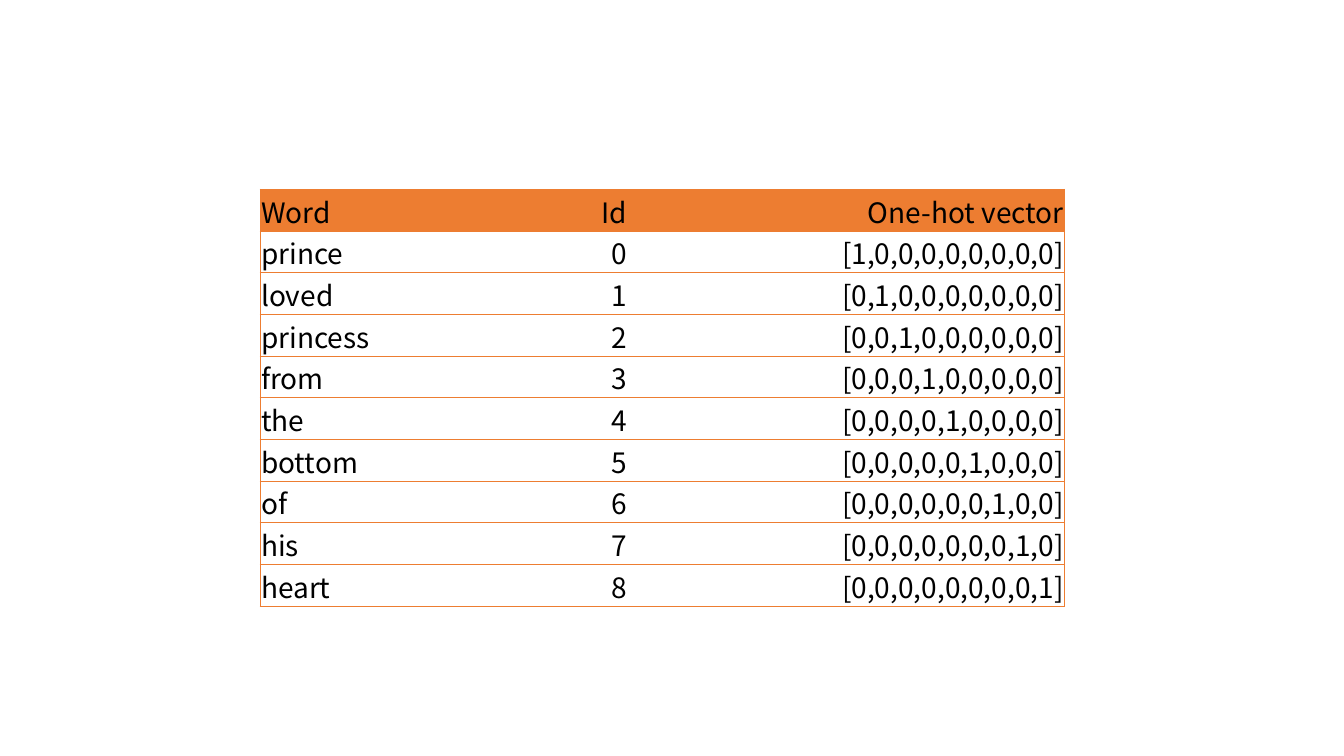
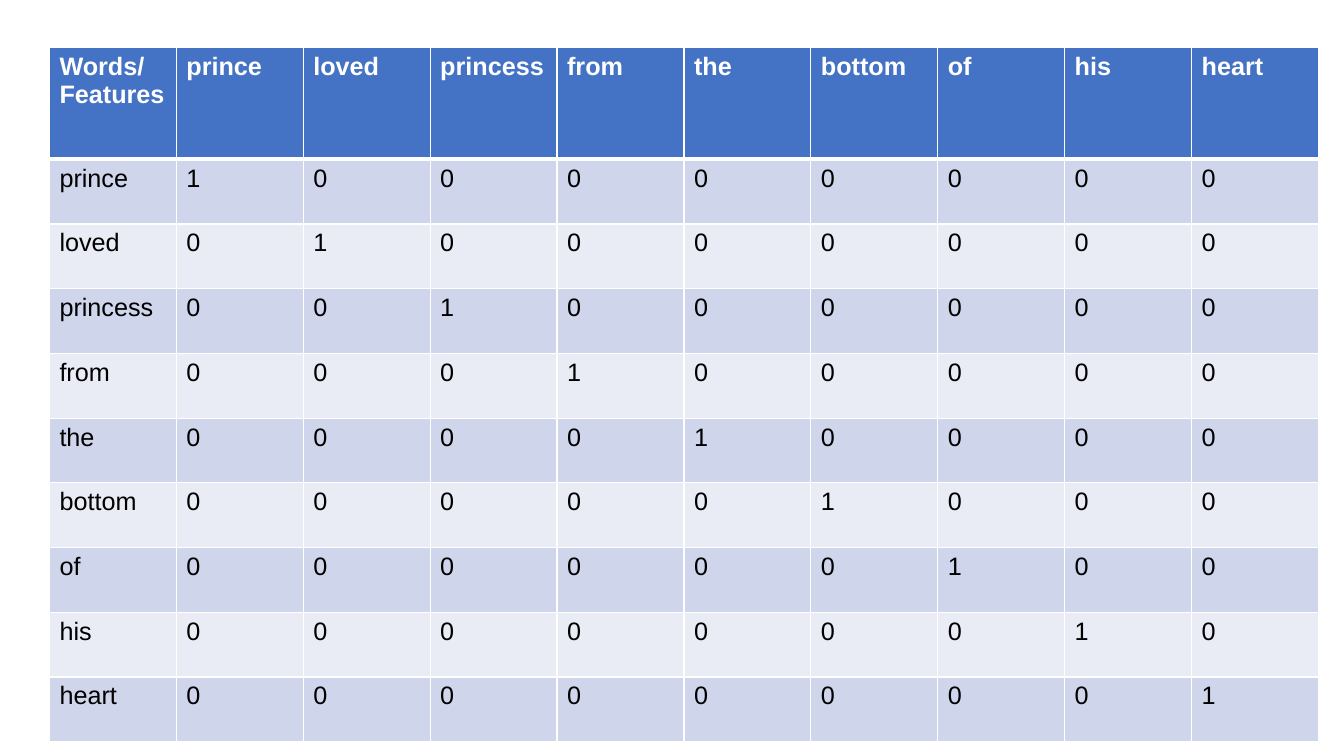
"""Build two slides that show one-hot word vectors as tables."""
from lxml import etree
from pptx import Presentation
from pptx.dml.color import RGBColor
from pptx.enum.text import MSO_ANCHOR, PP_ALIGN
from pptx.oxml.ns import qn
from pptx.util import Inches, Pt

LEFT, RIGHT = PP_ALIGN.LEFT, PP_ALIGN.RIGHT
TOP, MIDDLE = MSO_ANCHOR.TOP, MSO_ANCHOR.MIDDLE

ORANGE = RGBColor(0xED, 0x7D, 0x31)
BLUE = RGBColor(0x44, 0x72, 0xC4)
BAND_DARK = RGBColor(0xCF, 0xD5, 0xEA)
BAND_LIGHT = RGBColor(0xE9, 0xEB, 0xF5)
WHITE = RGBColor(0xFF, 0xFF, 0xFF)
BLACK = RGBColor(0x00, 0x00, 0x00)

BLANK = 6
WORDS = ["prince", "loved", "princess", "from", "the", "bottom", "of", "his", "heart"]
ONE_HOT = [[int(i == j) for j in range(len(WORDS))] for i in range(len(WORDS))]

TIGHT_CELL = {
    "margin_left": Inches(0.01),
    "margin_right": Inches(0.01),
    "margin_top": Inches(0.01),
    "margin_bottom": 0,
    "vertical_anchor": MIDDLE,
}
ROOMY_CELL = {"vertical_anchor": TOP}
LIST_FONT = {"name": "Noto Sans CJK JP", "size": Pt(20), "bold": False}
MATRIX_FONT = {"name": "Arial", "size": Pt(18), "bold": False}


def set_borders(cell, color, widths):
    tc_pr = cell._tc.get_or_add_tcPr()
    for index, side in enumerate("LRTB"):
        line = etree.Element(qn(f"a:ln{side}"))
        width = widths.get(side, 0)
        if width:
            line.set("w", str(Pt(width)))
            fill = etree.SubElement(line, qn("a:solidFill"))
            etree.SubElement(fill, qn("a:srgbClr"), val=str(color))
        else:
            etree.SubElement(line, qn("a:noFill"))
        tc_pr.insert(index, line)


def set_cell(cell, text, fill, color, font, cell_format, align=LEFT):
    for name, value in cell_format.items():
        setattr(cell, name, value)
    cell.fill.solid()
    cell.fill.fore_color.rgb = fill
    p = cell.text_frame.paragraphs[0]
    p.alignment = align
    r = p.add_run()
    r.text = str(text)
    for name, value in font.items():
        setattr(r.font, name, value)
    r.font.color.rgb = color


def add_grid(prs, left, top, col_widths, row_heights):
    s = prs.slides.add_slide(prs.slide_layouts[BLANK])
    box = [Inches(v) for v in (left, top, sum(col_widths), sum(row_heights))]
    table = s.shapes.add_table(len(row_heights), len(col_widths), *box).table
    table.first_row = table.horz_banding = False
    for column, width in zip(table.columns, col_widths):
        column.width = Inches(width)
    for row, height in zip(table.rows, row_heights):
        row.height = Inches(height)
    return table


def add_vector_list(prs):
    rows = [["Word", "Id", "One-hot vector"]]
    for i, (word, vector) in enumerate(zip(WORDS, ONE_HOT)):
        rows.append([word, i, f"[{','.join(map(str, vector))}]"])
    table = add_grid(prs, 2.58, 1.88, [2.66, 0.99, 4.33], [0.34] * len(rows))
    aligns = [LEFT, RIGHT, RIGHT]
    outer_sides = [{"L": 1}, {}, {"R": 1}]
    for i, row in enumerate(rows):
        fill = WHITE if i else ORANGE
        for j, text in enumerate(row):
            cell = table.cell(i, j)
            set_cell(cell, text, fill, BLACK, LIST_FONT, TIGHT_CELL, aligns[j])
            set_borders(cell, ORANGE, {"T": 1, "B": 1, **outer_sides[j]})


def add_feature_matrix(prs):
    rows = [["Words/Features", *WORDS]]
    rows += [[word, *vector] for word, vector in zip(WORDS, ONE_HOT)]
    header_height, total_height, total_width = 1.11, 6.89, 12.59
    body_height = (total_height - header_height) / len(WORDS)
    columns = len(rows[0])
    table = add_grid(prs, 0.49, 0.47, [total_width / columns] * columns,
                     [header_height] + [body_height] * len(WORDS))
    for i, row in enumerate(rows):
        header = i == 0
        fill = BLUE if header else (BAND_LIGHT, BAND_DARK)[i % 2]
        font = {**MATRIX_FONT, "bold": header}
        widths = {"L": 1, "R": 1, "T": 3 if i == 1 else 1, "B": 3 if header else 1}
        for j, text in enumerate(row):
            cell = table.cell(i, j)
            set_cell(cell, text, fill, WHITE if header else BLACK, font, ROOMY_CELL)
            set_borders(cell, WHITE, widths)


def main():
    prs = Presentation()
    prs.slide_width, prs.slide_height = Inches(13.33), Inches(7.5)
    add_vector_list(prs)
    add_feature_matrix(prs)
    prs.save("out.pptx")


if __name__ == "__main__":
    main()
